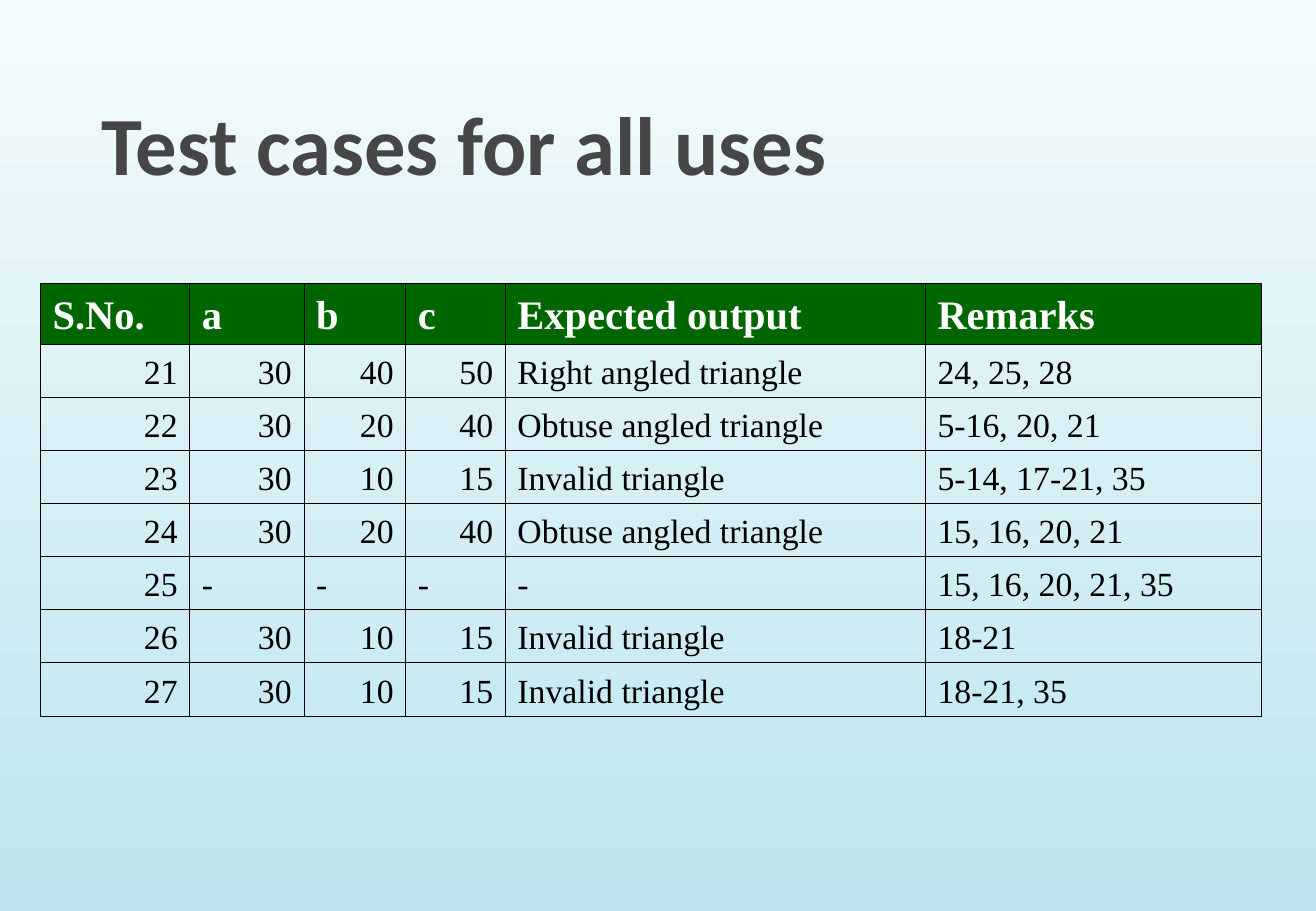
from dataclasses import dataclass

from lxml import etree
from pptx import Presentation
from pptx import util as u
from pptx.dml import color as col
from pptx.enum import text as txt
from pptx.oxml import ns

INK = "000000"
ALIGN = txt.PP_ALIGN
BASE = txt.MSO_ANCHOR.BOTTOM
WIDTHS = (88.56, 67.68, 60.48, 59.04, 249.12, 199.44)
HEAD, BODY, LAST = 36.3, 31.45, 32.2


@dataclass(frozen=True)
class Case:
    num: str
    a: str
    b: str
    c: str
    out: str
    note: str

    def cells(self) -> tuple[str, ...]:
        return self.num, self.a, self.b, self.c, self.out, self.note


TITLES = Case("S.No.", "a", "b", "c", "Expected output", "Remarks")
CASES = (
    Case("21", "30", "40", "50", "Right angled triangle", "24, 25, 28"),
    Case("22", "30", "20", "40", "Obtuse angled triangle", "5-16, 20, 21"),
    Case("23", "30", "10", "15", "Invalid triangle", "5-14, 17-21, 35"),
    Case("24", "30", "20", "40", "Obtuse angled triangle", "15, 16, 20, 21"),
    Case("25", "-", "-", "-", "-", "15, 16, 20, 21, 35"),
    Case("26", "30", "10", "15", "Invalid triangle", "18-21"),
    Case("27", "30", "10", "15", "Invalid triangle", "18-21, 35"),
)


def tint(code: str) -> col.RGBColor:
    return col.RGBColor.from_string(code)


def write(frame, words: str, *, size: float, face: str = "Times New Roman",
          ink: str = INK, bold: bool = False, align=ALIGN.LEFT,
          hang: float = 0) -> None:
    para = frame.paragraphs[0]
    para.alignment = align
    if hang:
        props = para._p.get_or_add_pPr()
        props.set("marL", str(u.Pt(hang)))
        props.set("indent", str(-u.Pt(hang)))
    run = para.add_run()
    run.text = words
    font = run.font
    font.size, font.name, font.bold = u.Pt(size), face, bold
    font.color.rgb = tint(ink)


def edge(cell, width: float) -> None:
    props = cell._tc.get_or_add_tcPr()
    for side in ("a:lnL", "a:lnR", "a:lnT", "a:lnB"):
        line = etree.SubElement(props, ns.qn(side), w=str(u.Pt(width)))
        fill = etree.SubElement(line, ns.qn("a:solidFill"))
        etree.SubElement(fill, ns.qn("a:srgbClr"), val=INK)


def draw_cell(cell, words: str, head: bool) -> None:
    cell.vertical_anchor = BASE
    edge(cell, 0.45)
    if head:
        cell.fill.solid()
        cell.fill.fore_color.rgb = tint("006600")
        write(cell.text_frame, words, size=24, ink="FFFFFF", bold=True, hang=29.5)
    else:
        cell.fill.background()
        align = ALIGN.RIGHT if words.isdigit() else ALIGN.LEFT
        write(cell.text_frame, words, size=20, align=align, hang=29.5)


def draw_table(slide) -> None:
    rows = (TITLES, *CASES)
    highs = (HEAD, *[BODY] * (len(CASES) - 1), LAST)
    frame = slide.shapes.add_table(len(rows), len(WIDTHS), u.Pt(24), u.Pt(167.8),
                                   u.Pt(sum(WIDTHS)), u.Pt(sum(highs)))
    table = frame.table
    table.horz_banding = False
    for column, width in zip(table.columns, WIDTHS):
        column.width = u.Pt(width)
    for i, (case, high) in enumerate(zip(rows, highs)):
        table.rows[i].height = u.Pt(high)
        for j, words in enumerate(case.cells()):
            draw_cell(table.cell(i, j), words, head=i == 0)


def draw_title(slide) -> None:
    title = slide.shapes.title
    title.left, title.top = u.Pt(51.84), u.Pt(12.24)
    title.width, title.height = u.Pt(695.52), u.Pt(105.84)
    frame = title.text_frame
    frame.auto_size = txt.MSO_AUTO_SIZE.NONE
    frame.word_wrap = True
    frame.vertical_anchor = BASE
    frame.margin_left = frame.margin_right = u.Pt(8.64)
    frame.margin_top = frame.margin_bottom = u.Pt(4.32)
    write(frame, "Test cases for all uses", size=49, face="Calibri",
          ink="464646", bold=True)


def draw_back(slide) -> None:
    fill = slide.background.fill
    fill.gradient()
    fill.gradient_angle = 270
    for stop, code in zip(fill.gradient_stops, ("F4FBFC", "BCE5EF")):
        stop.color.rgb = tint(code)


def main() -> None:
    deck = Presentation()
    deck.slide_width, deck.slide_height = u.Pt(780.48), u.Pt(540)
    slide = deck.slides.add_slide(deck.slide_layouts[5])
    draw_back(slide)
    draw_title(slide)
    draw_table(slide)
    deck.save("out.pptx")


if __name__ == "__main__":
    main()
